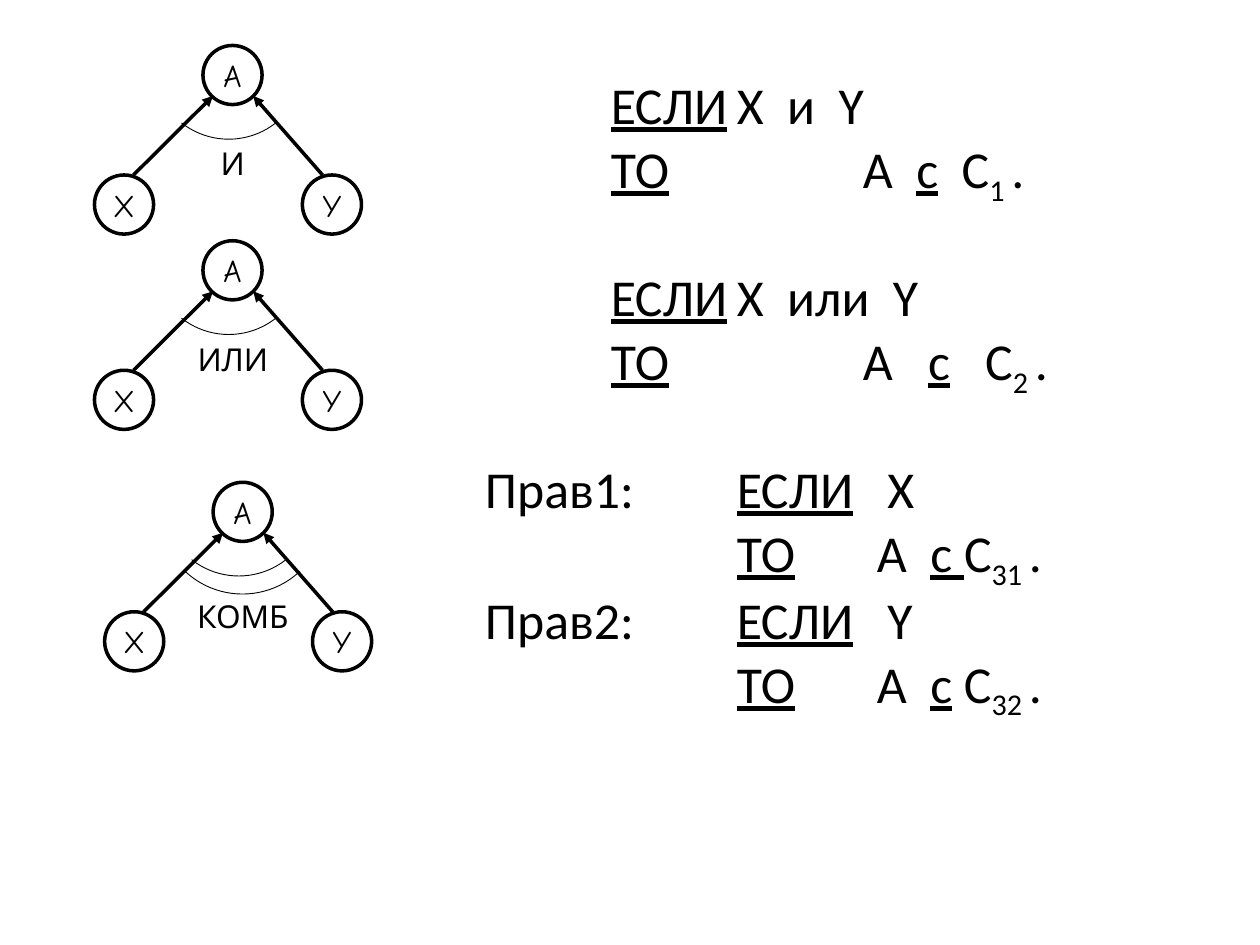
import pptx
import pptx.util
import pptx.dml.color
import pptx.enum.shapes
import pptx.enum.text
import pptx.oxml.ns
import lxml.etree

Pt = pptx.util.Pt
SHAPES = pptx.enum.shapes.MSO_SHAPE
BLACK = "000000"


def color(hex_string):
    return pptx.dml.color.RGBColor.from_string(hex_string)


def add_child(parent, tag, **attributes):
    return lxml.etree.SubElement(parent, pptx.oxml.ns.qn(tag), **attributes)


presentation = pptx.Presentation()
presentation.slide_width = Pt(720)
presentation.slide_height = Pt(540)
slide = presentation.slides.add_slide(presentation.slide_layouts[6])

# Rules: (tab stops, space before, runs of text and style)
IF_STOPS, THEN_STOPS = (288, 360), (288, 432)
NAMED_STOPS, RESULT_STOPS = (216, 360, 446), (360, 440)
rules = [
    (IF_STOPS, 0, [("\t", ""), ("ЕСЛИ", "under"), ("\tX  и  Y", "")]),
    (THEN_STOPS, 0, [("\t", ""), ("ТО", "under"), ("\tA  ", ""), ("c", "under"),
                     ("  C", ""), ("1 ", "sub"), (".", "")]),
    (IF_STOPS, 35.4, [("\t", ""), ("ЕСЛИ", "under"), ("\tX  или  Y", "")]),
    (THEN_STOPS, 0, [("\t", ""), ("ТО", "under"), ("\tA   ", ""), ("c", "under"),
                     ("   C", ""), ("2 ", "sub"), (".", "")]),
    (NAMED_STOPS, 35.4, [("\tПрав1:\t", ""), ("ЕСЛИ", "under"), ("\tX", "")]),
    (RESULT_STOPS, 0, [("\t", ""), ("ТО", "under"), ("\tA  ", ""), ("c ", "under"),
                       ("C", ""), ("31 ", "sub"), (".", "")]),
    (NAMED_STOPS, 0, [("\tПрав2:\t", ""), ("ЕСЛИ", "under"), ("\tY", "")]),
    (RESULT_STOPS, 0, [("\t", ""), ("ТО", "under"), ("\tA  ", ""), ("c", "under"),
                       (" C", ""), ("32 ", "sub"), (".", "")]),
]
rules_box = slide.shapes.add_textbox(Pt(54), Pt(37.4), Pt(617.8), Pt(394.6))
rules_frame = rules_box.text_frame
rules_frame.word_wrap = True
rules_frame.margin_top = Pt(5.9)
for index, (stops, space, runs) in enumerate(rules):
    paragraph = rules_frame.paragraphs[0] if index == 0 else rules_frame.add_paragraph()
    paragraph.line_spacing = 0.98
    if space:
        paragraph.space_before = Pt(space)
    tab_list = add_child(paragraph._p.get_or_add_pPr(), "a:tabLst")
    for stop in stops:
        add_child(tab_list, "a:tab", pos=str(Pt(stop)), algn="l")
    for text, style in runs:
        run = paragraph.add_run()
        run.text = text
        run.font.size = Pt(29.6)
        run.font.name = "Calibri"
        run.font.color.rgb = color(BLACK)
        if style == "under":
            run.font.underline = True
        elif style == "sub":
            run.font._element.set("baseline", "-25000")

# Graphs: left, top, label, label offset, width, arcs (centre x, y, radius, half angle)
NODE = 33.8
LABEL_CENTER = 79
inner_arc = (76.7, 10, 43.6, 38.2)
outer_arc = (78.8, 16, 47.9, 43.2)
graphs = [
    (54, 26, "И", 53, 33.8, [inner_arc]),
    (54, 137.6, "ИЛИ", 53, 57, [inner_arc]),
    (59.8, 275.6, "КОМБ", 62, 67.7, [inner_arc, outer_arc]),
]
for left, top, label, label_top, label_width, arcs in graphs:
    captions = []

    # Nodes
    for letter, x, y in [("A", 62, 0), ("X", 0, 74), ("Y", 118.8, 74)]:
        node = slide.shapes.add_shape(SHAPES.OVAL, Pt(left + x), Pt(top + y), Pt(NODE), Pt(NODE))
        node.shadow.inherit = False
        node.fill.background()
        node.line.color.rgb = color(BLACK)
        node.line.width = Pt(2)
        node.text_frame.word_wrap = False
        node.text_frame.vertical_anchor = pptx.enum.text.MSO_ANCHOR.MIDDLE
        captions.append((node, letter))

    # Arrows to the conclusion
    for start_x, end_x in [(22.3, 67.7), (130.3, 90.7)]:
        arrow = slide.shapes.add_connector(
            pptx.enum.shapes.MSO_CONNECTOR.STRAIGHT,
            Pt(left + start_x), Pt(top + 74), Pt(left + end_x), Pt(top + 28.8))
        arrow.line.color.rgb = color(BLACK)
        arrow.line.width = Pt(2)
        add_child(arrow.line._get_or_add_ln(), "a:tailEnd", type="triangle")
        add_child(arrow._element.spPr, "a:effectLst")

    # Arcs between the arrows
    for x, y, radius, half_angle in arcs:
        arc = slide.shapes.add_shape(
            SHAPES.ARC, Pt(left + x - radius), Pt(top + y - radius), Pt(2 * radius), Pt(2 * radius))
        arc.shadow.inherit = False
        arc.fill.background()
        arc.line.color.rgb = color(BLACK)
        arc.line.width = Pt(0.5)
        # An angle is stored in 60000ths of a degree, an adjustment in 100000ths
        arc.adjustments[0] = (90 - half_angle) * 0.6
        arc.adjustments[1] = (90 + half_angle) * 0.6

    # Kind of link
    label_box = slide.shapes.add_textbox(
        Pt(left + LABEL_CENTER - label_width / 2), Pt(top + label_top), Pt(label_width), Pt(28.8))
    label_box.text_frame.word_wrap = True
    captions.append((label_box, label))

    for shape, text in captions:
        paragraph = shape.text_frame.paragraphs[0]
        paragraph.alignment = pptx.enum.text.PP_ALIGN.CENTER
        run = paragraph.add_run()
        run.text = text
        run.font.size = Pt(18)
        run.font.name = "Comic Neue"
        run.font.color.rgb = color(BLACK)

presentation.save("out.pptx")
